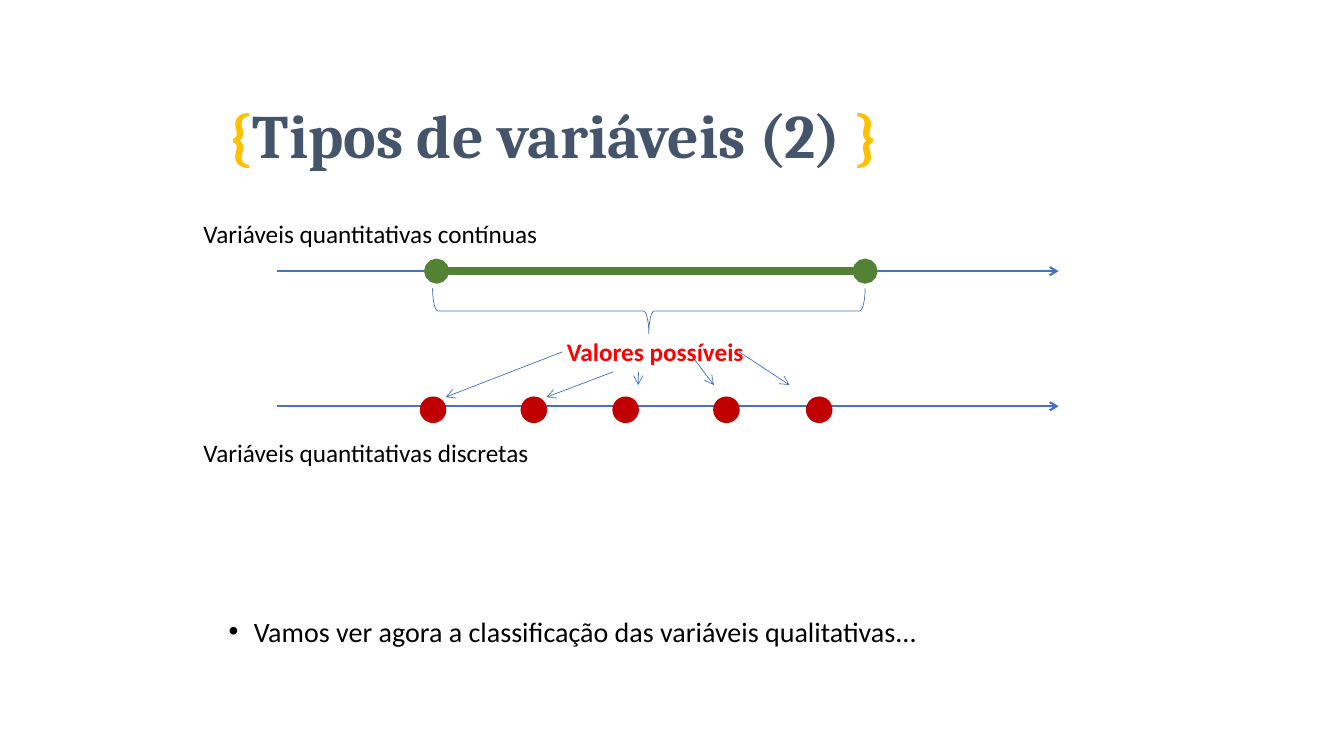
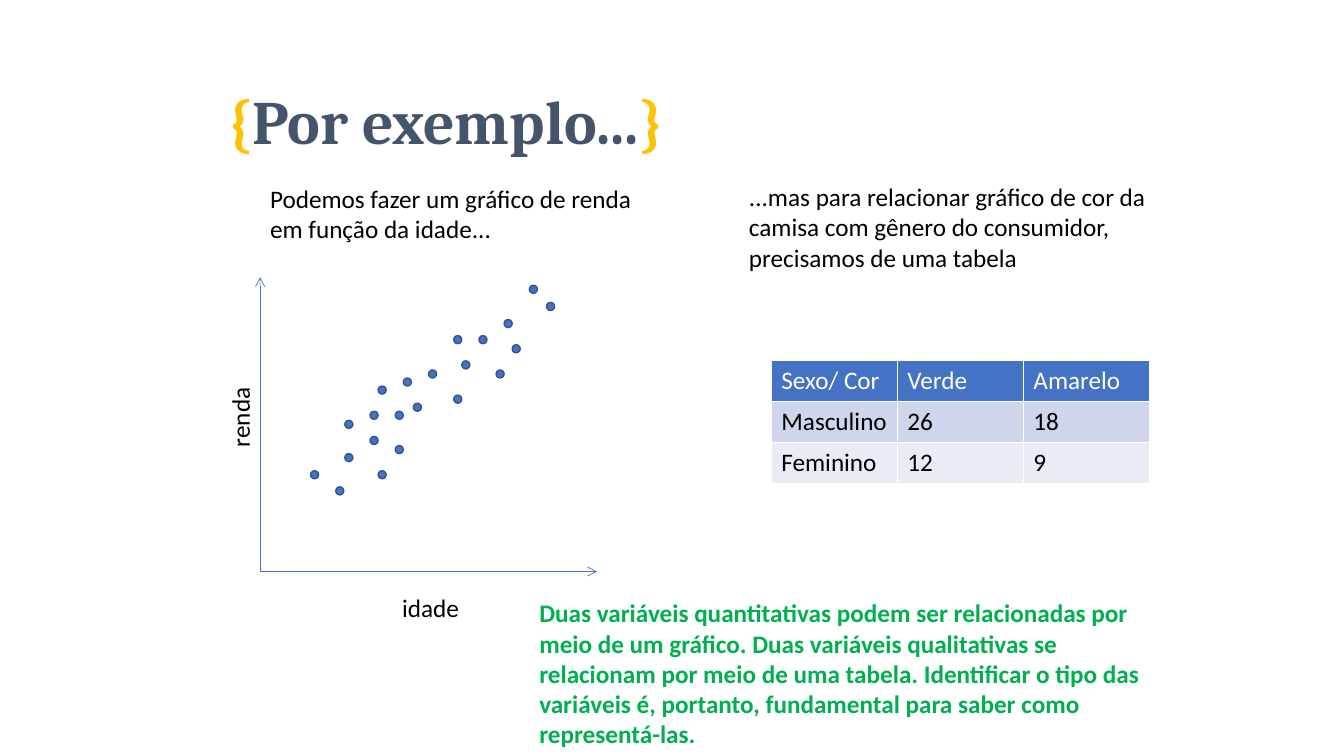
from lxml import etree
from pptx import Presentation
from pptx.dml.color import RGBColor
from pptx.enum import shapes, text
from pptx.oxml import ns
from pptx.util import Inches, Pt

HUES = {
    "black": "000000", "white": "FFFFFF", "navy": "44546A", "gold": "FFC000",
    "blue": "4472C4", "edge": "325491", "green": "548235", "leaf": "00B050",
    "red": "FF0000", "wine": "C00000", "band": "CFD5EA", "pale": "E9EBF5",
}
RGB = {name: RGBColor.from_string(code) for name, code in HUES.items()}
PLAIN = {"name": "Calibri", "size": Pt(18), "bold": False}
BOLD = PLAIN | {"bold": True}
BODY = PLAIN | {"size": Pt(20)}
TITLE = {"name": "Cambria", "size": Pt(44), "bold": True}


def write(slide, place, runs, font=PLAIN, align=text.PP_ALIGN.LEFT, turn=0):
    """Add a one-paragraph text box; runs are (words, colour) pairs."""
    box = slide.shapes.add_textbox(*map(Inches, place))
    box.rotation = turn
    box.text_frame.word_wrap = True
    para = box.text_frame.paragraphs[0]
    para.alignment = align
    for words, hue in runs:
        run = para.add_run()
        run.text = words
        run.font.color.rgb = RGB[hue]
        for key, val in font.items():
            setattr(run.font, key, val)
    return box


def draw(slide, ends, width, hue="blue", head="none", tail="arrow"):
    """Add a straight line from ends[0:2] to ends[2:4] with end marks."""
    line = slide.shapes.add_connector(
        shapes.MSO_CONNECTOR.STRAIGHT, *map(Inches, ends))
    line.line.width = Pt(width)
    line.line.color.rgb = RGB[hue]
    stroke = line.line._get_or_add_ln()
    for tag, kind in (("a:headEnd", head), ("a:tailEnd", tail)):
        etree.SubElement(stroke, ns.qn(tag), type=kind)
    etree.SubElement(line._element.spPr, ns.qn("a:effectLst"))


deck = Presentation()
deck.slide_width, deck.slide_height = Inches(13.33), Inches(7.5)
blank = deck.slide_layouts[6]
kinds, sample = [deck.slides.add_slide(blank) for _ in range(2)]

# Titles
for slide, top, words in (
    (kinds, 0.75, "Tipos de variáveis (2) "),
    (sample, 0.61, "Por exemplo..."),
):
    runs = [("{", "gold"), (words, "navy"), ("}", "gold")]
    title = write(slide, (2.17, top, 9, 1.25), runs, TITLE)
    title.text_frame.vertical_anchor = text.MSO_ANCHOR.MIDDLE
    title.text_frame.paragraphs[0].line_spacing = 0.9

# Number lines, pointers and chart axes
for y in (2.69, 4.03):
    draw(kinds, (2.75, y, 10.5, y), 1.5)
draw(kinds, (4.33, 2.69, 8.58, 2.69), 6, "green", "oval", "oval")
for ends in (
    (5.58, 3.49, 4.42, 3.94), (6.08, 3.69, 5.42, 3.94),
    (6.33, 3.69, 6.33, 3.82), (6.83, 3.49, 7.08, 3.82),
    (7.33, 3.49, 7.83, 3.82),
):
    draw(kinds, ends, 0.5)
for ends in ((2.58, 5.67, 5.92, 5.67), (2.58, 5.67, 2.58, 2.75)):
    draw(sample, ends, 0.5)

# Discrete values and scatter points
marks = [(x, 3.94) for x in (4.17, 5.17, 6.08, 7.08, 8)]
points = [
    (3.08, 4.67), (3.33, 4.83), (5.25, 2.83), (5.42, 3), (5, 3.17),
    (5.08, 3.42), (4.58, 3.58), (3.75, 3.83), (4.1, 4), (3.92, 4.08),
    (3.67, 4.33), (3.67, 4.08), (4, 3.75), (4.5, 3.92), (4.25, 3.67),
    (4.5, 3.33), (3.42, 4.17), (3.92, 4.42), (3.75, 4.67), (3.42, 4.5),
    (4.92, 3.67), (4.75, 3.33),
]
for slide, spots, size, fill, edge in (
    (kinds, marks, 0.25, "wine", "wine"),
    (sample, points, 0.08, "blue", "edge"),
):
    for x, y in spots:
        dot = slide.shapes.add_shape(
            shapes.MSO_SHAPE.OVAL, *map(Inches, (x, y, size, size)))
        dot.shadow.inherit = False
        dot.fill.solid()
        dot.fill.fore_color.rgb = RGB[fill]
        dot.line.color.rgb = RGB[edge]
        dot.line.width = Pt(1)

# Brace under the continuous range
brace = kinds.shapes.add_shape(
    shapes.MSO_SHAPE.RIGHT_BRACE, *map(Inches, (6.21, 0.94, 0.45, 4.29)))
brace.rotation = 90
brace.adjustments[0], brace.adjustments[1] = 0.12, 0.5
brace.shadow.inherit = False
brace.fill.background()
brace.line.color.rgb = RGB["blue"]
brace.line.width = Pt(0.5)

# Labels and notes
mid = text.PP_ALIGN.CENTER
write(kinds, (5.25, 3.29, 2.5, 0.4), [("Valores possíveis", "red")], BOLD, mid)
for top, word in ((2.12, "contínuas"), (4.29, "discretas")):
    write(kinds, (1.92, top, 4.33, 0.4),
          [(f"Variáveis quantitativas {word}", "black")])
for place, words in (
    ((2.58, 1.77, 3.92, 0.71),
     "Podemos fazer um gráfico de renda em função da idade..."),
    ((7.33, 1.75, 4.17, 1.01),
     "...mas para relacionar gráfico de cor da camisa com gênero do "
     "consumidor, precisamos de uma tabela"),
):
    write(sample, place, [(words, "black")])
for left, top, word, turn in ((3.08, 5.83, "idade", 0), (1.19, 3.94, "renda", 270)):
    write(sample, (left, top, 2.38, 0.4), [(word, "black")], PLAIN, mid, turn)
write(sample, (5.25, 5.88, 6.42, 1.62), [(
    "Duas variáveis quantitativas podem ser relacionadas por meio de um "
    "gráfico. Duas variáveis qualitativas se relacionam por meio de uma "
    "tabela. Identificar o tipo das variáveis é, portanto, fundamental para "
    "saber como representá-las.", "leaf")], BOLD)

# Bulleted closing line
closing = write(kinds, (2.17, 6.08, 9, 0.62), [(
    "Vamos ver agora a classificação das variáveis qualitativas...",
    "black")], BODY)
para = closing.text_frame.paragraphs[0]
para.line_spacing = 0.9
para.space_before = Pt(10)
props = para._p.get_or_add_pPr()
props.set("marL", str(Inches(0.25)))
props.set("indent", str(Inches(-0.25)))
etree.SubElement(props, ns.qn("a:buFont"), typeface="Arial")
etree.SubElement(props, ns.qn("a:buChar"), char="•")

# Table of counts
rows = [
    (("Sexo/ Cor", "Verde", "Amarelo"), "blue", "white"),
    (("Masculino", "26", "18"), "band", "black"),
    (("Feminino", "12", "9"), "pale", "black"),
]
table = sample.shapes.add_table(
    3, 3, *map(Inches, (7.65, 3.58, 3.75, 1.22))).table
for r, (words, fill, hue) in enumerate(rows):
    for c, word in enumerate(words):
        cell = table.cell(r, c)
        cell.fill.solid()
        cell.fill.fore_color.rgb = RGB[fill]
        cell.text = word
        font = cell.text_frame.paragraphs[0].runs[0].font
        font.color.rgb = RGB[hue]
        for key, val in PLAIN.items():
            setattr(font, key, val)

deck.save("out.pptx")
